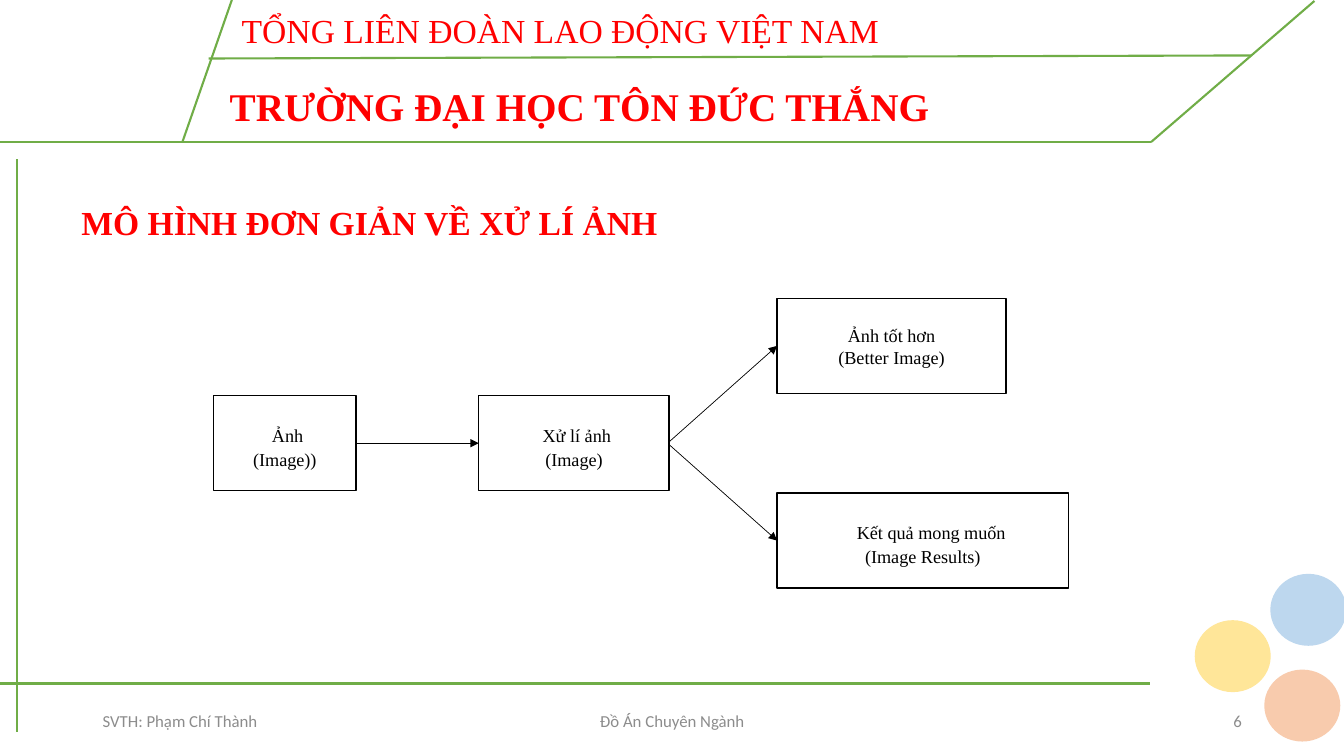
from dataclasses import dataclass

from lxml import etree
from pptx import Presentation
from pptx.dml.color import RGBColor
from pptx.enum.shapes import MSO_CONNECTOR, MSO_SHAPE
from pptx.enum.text import MSO_ANCHOR, PP_ALIGN
from pptx.oxml.ns import qn
from pptx.util import Pt

STRAIGHT = MSO_CONNECTOR.STRAIGHT
RECTANGLE, OVAL = MSO_SHAPE.RECTANGLE, MSO_SHAPE.OVAL
TOP, MIDDLE = MSO_ANCHOR.TOP, MSO_ANCHOR.MIDDLE
LEFT, CENTER, RIGHT = PP_ALIGN.LEFT, PP_ALIGN.CENTER, PP_ALIGN.RIGHT

GREEN = RGBColor(0x70, 0xAD, 0x47)
RED = RGBColor(0xFF, 0x00, 0x00)
BLACK = RGBColor(0x00, 0x00, 0x00)
WHITE = RGBColor(0xFF, 0xFF, 0xFF)
GRAY = RGBColor(0x8C, 0x8C, 0x8C)
PEACH = RGBColor(0xF8, 0xCB, 0xAD)
YELLOW = RGBColor(0xFF, 0xE6, 0x99)
BLUE = RGBColor(0xBD, 0xD7, 0xEE)

SERIF, SANS = "Times New Roman", "Calibri"


@dataclass
class Box:
    left: float
    top: float
    width: float
    height: float

    def inner(self, left, top, width, height):
        return Box(self.left + left, self.top + top, width, height)

    def point(self, across, down):
        return self.left + across, self.top + down

    def lengths(self):
        return Pt(self.left), Pt(self.top), Pt(self.width), Pt(self.height)


def write(frame, text, size=12, font=SANS, color=GRAY, bold=False, align=LEFT,
          anchor=TOP, spacing=None):
    frame.word_wrap = True
    frame.vertical_anchor = anchor
    for index, line in enumerate(text.split("\n")):
        para = frame.paragraphs[0] if index == 0 else frame.add_paragraph()
        para.alignment = align
        if spacing:
            para.line_spacing = spacing
        span = para.add_run()
        span.text = line
        span.font.size = Pt(size)
        span.font.name = font
        span.font.bold = bold
        span.font.color.rgb = color


def add_text(page, box, text, **style):
    write(page.shapes.add_textbox(*box.lengths()).text_frame, text, **style)


def add_line(page, start, end, color=GREEN, width=1.5, arrow=False):
    line = page.shapes.add_connector(STRAIGHT, *map(Pt, start + end))
    line.line.color.rgb = color
    line.line.width = Pt(width)
    properties = line._element.spPr
    if arrow:
        etree.SubElement(properties.find(qn("a:ln")), qn("a:tailEnd"), type="triangle")
    etree.SubElement(properties, qn("a:effectLst"))


def add_filled(page, kind, box, fill, outline):
    shape = page.shapes.add_shape(kind, *box.lengths())
    shape.shadow.inherit = False
    shape.fill.solid()
    shape.fill.fore_color.rgb = fill
    shape.line.color.rgb = outline
    shape.line.width = Pt(1)
    return shape


def add_header(page, box):
    base = box.height
    for start, end in (((149, 41.8), (894.2, 39.6)),
                       ((165.6, 0), (130.3, base)),
                       ((0, base), (822.2, base)),
                       ((938.9, 0.7), (822.2, base))):
        add_line(page, box.point(*start), box.point(*end))
    add_text(page, box.inner(165.6, 3.6, 490, 36), "TỔNG LIÊN ĐOÀN LAO ĐỘNG VIỆT NAM",
             size=24, font=SERIF, color=RED)
    add_text(page, box.inner(157, 55.4, 621, 41), "TRƯỜNG ĐẠI HỌC TÔN ĐỨC THẮNG",
             size=28, font=SERIF, color=RED, bold=True)


def add_frame(page, box):
    add_line(page, box.point(12.2, 0), box.point(12.2, box.height))
    add_line(page, box.point(0, 374.4), box.point(821.5, 374.4))


def add_circles(page, box):
    for left, top, color in ((49.7, 68.4, PEACH), (0, 33.1, YELLOW), (54, 0, BLUE)):
        add_filled(page, OVAL, box.inner(left, top, 53.3, 50.4), color, color)


def add_step(page, box, text, indent=None):
    step = add_filled(page, RECTANGLE, box, WHITE, BLACK)
    frame = step.text_frame
    write(frame, text, size=13, font=SERIF, color=BLACK, align=CENTER, anchor=MIDDLE)
    if indent:
        frame.margin_top = Pt(9)
        first = frame.paragraphs[0]
        first.space_after = Pt(1.7)
        first._p.get_or_add_pPr().set("indent", str(Pt(indent)))


def add_model(page, box):
    height = 67.9
    middle = (box.height - height) / 2
    center = box.height / 2
    fork, results = 325.4, 402.5
    add_step(page, box.inner(0, middle, 101.7, height), "Ảnh\n(Image))", 4)
    add_step(page, box.inner(189.4, middle, 136, height), "Xử lí ảnh\n(Image)", 4)
    add_step(page, box.inner(results, 0, 163.4, height), "Ảnh tốt hơn\n(Better Image)")
    add_step(page, box.inner(results, box.height - height, 208, height),
             "Kết quả mong muốn\n(Image Results)", 12)
    for start, end in (((101.7, center), (189.4, center)),
                       ((fork, center - 1), (results, height / 2)),
                       ((fork, center + 1), (results, box.height - height / 2))):
        add_line(page, box.point(*start), box.point(*end),
                 color=BLACK, width=0.5, arrow=True)


def add_footer(page, box):
    for left, width, text, align in ((0, 216, "SVTH: Phạm Chí Thành", LEFT),
                                     (252, 324, "Đồ Án Chuyên Ngành", CENTER),
                                     (612, 216, "6", RIGHT)):
        add_text(page, box.inner(left, 0, width, box.height), text,
                 align=align, anchor=MIDDLE)


def main():
    deck = Presentation()
    deck.slide_width, deck.slide_height = Pt(960), Pt(540)
    page = deck.slides.add_slide(deck.slide_layouts[6])
    add_header(page, Box(0, 0, 960, 101.5))
    add_frame(page, Box(0, 113.8, 960, 409))
    add_circles(page, Box(853.9, 410.4, 107.3, 118.8))
    add_model(page, Box(152.6, 213.1, 610.5, 207))
    add_text(page, Box(51.1, 139, 450, 36), "MÔ HÌNH ĐƠN GIẢN VỀ XỬ LÍ ẢNH",
             size=24, font=SERIF, color=RED, bold=True, spacing=1.07)
    add_footer(page, Box(66.2, 500.4, 828, 28.8))
    deck.save("out.pptx")


if __name__ == "__main__":
    main()
